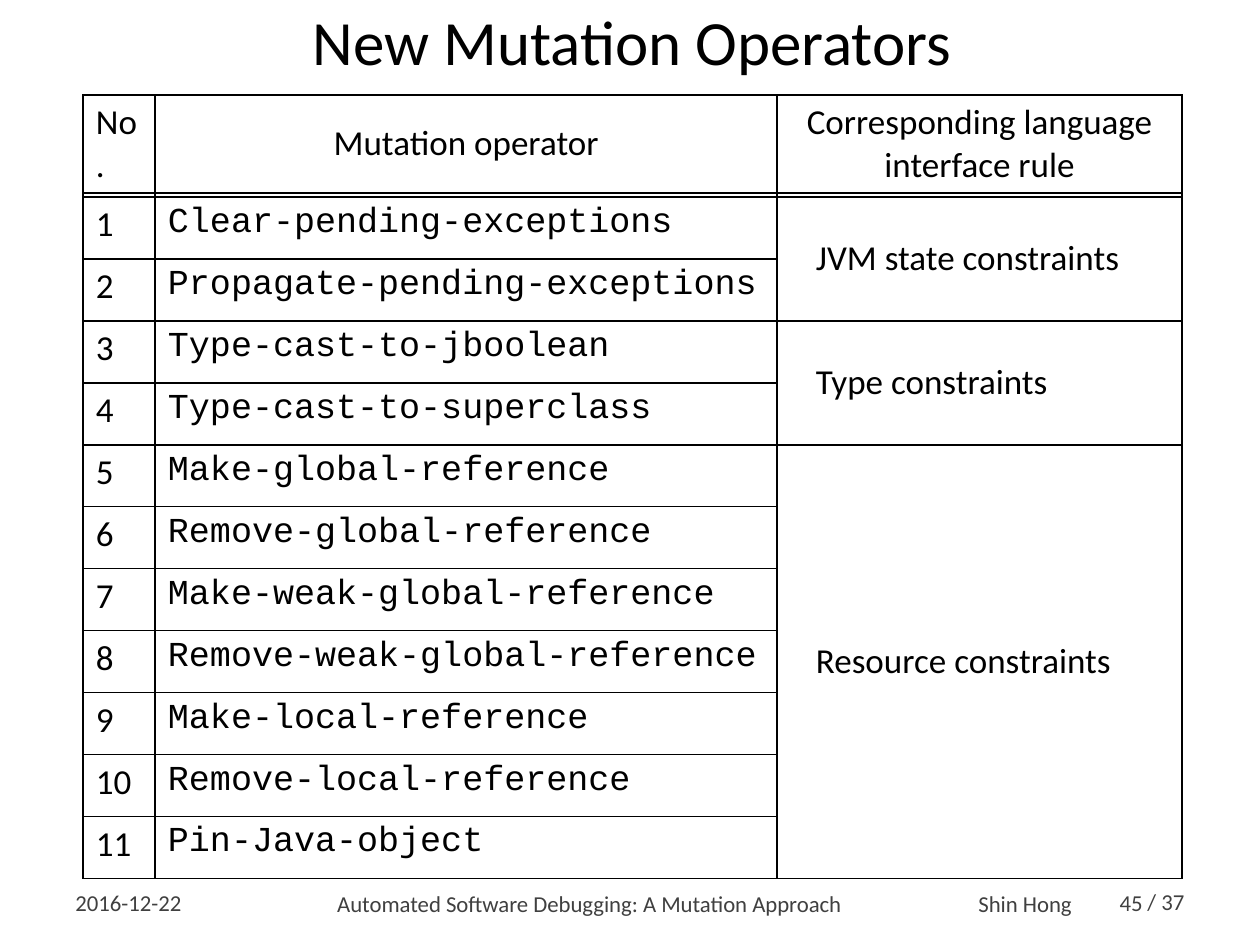
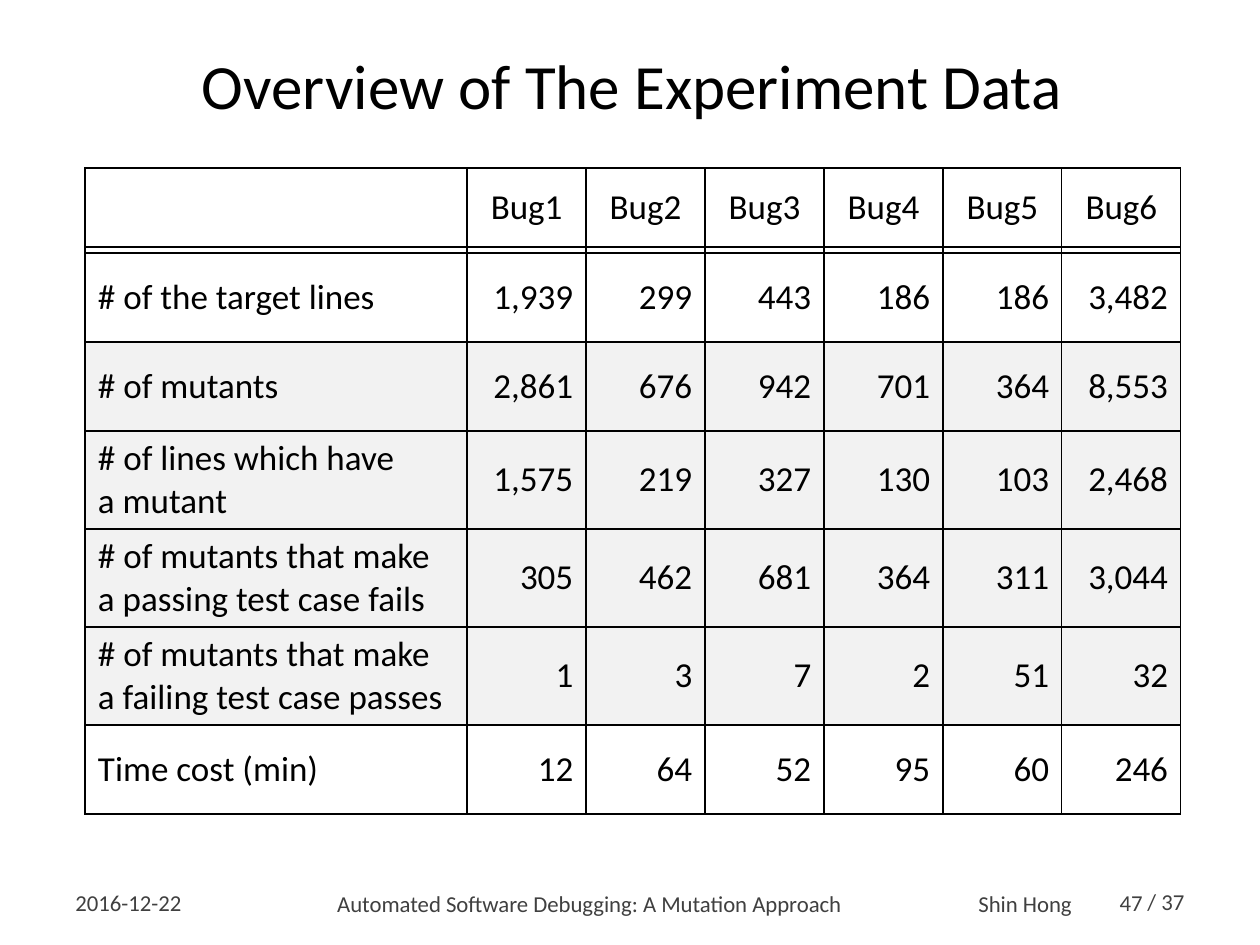
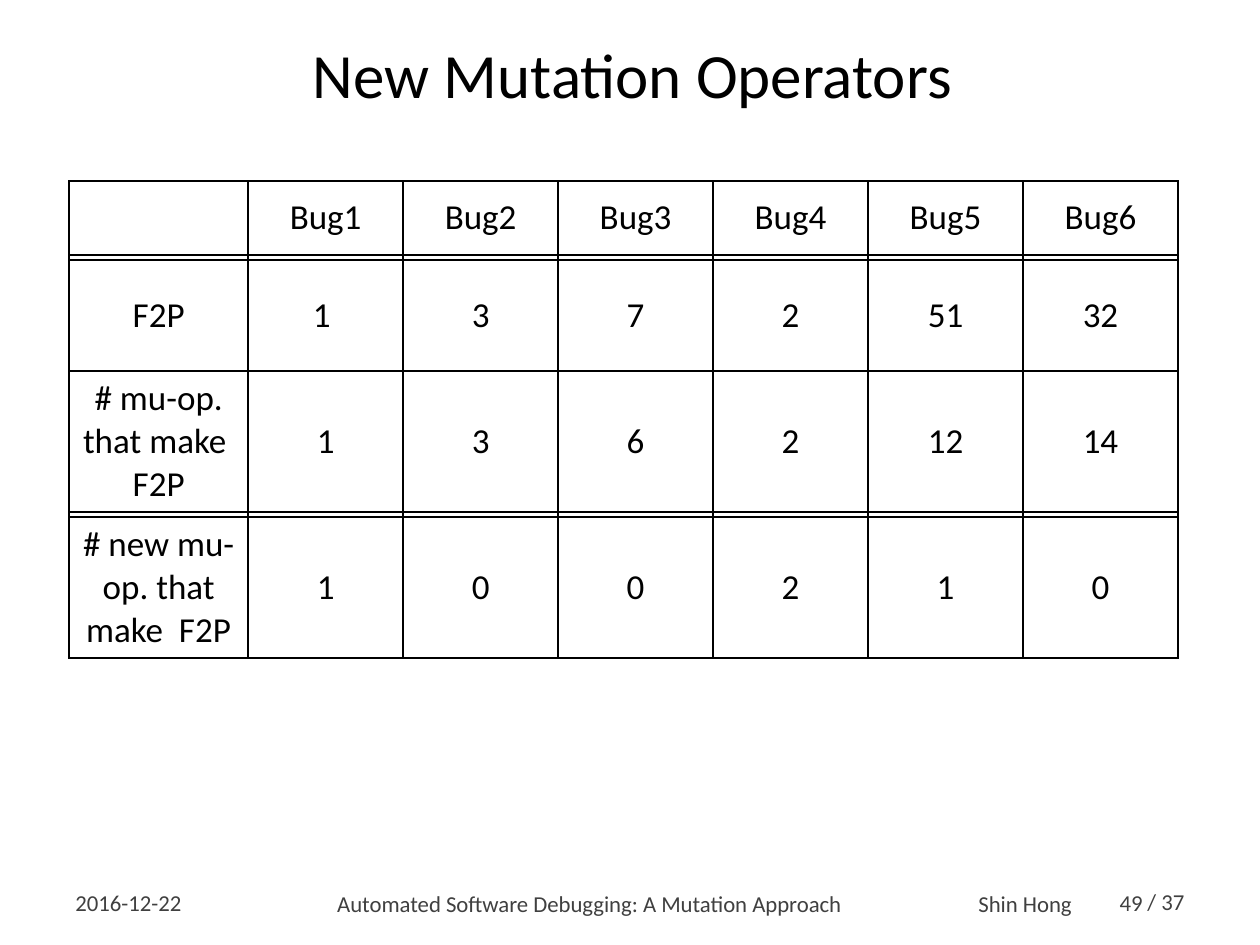
from lxml import etree
from pptx import Presentation
from pptx import util as u
from pptx.dml.color import RGBColor
from pptx.enum import text
from pptx.oxml.ns import qn

PX = 914400 // 126  # EMU per px
COLORS = {"ink": "000000", "footer": "404040", "band": "F2F2F2"}
BODY, CODE = "Calibri", "Courier New"
LEFT, CENTER, RIGHT = (text.PP_ALIGN.LEFT, text.PP_ALIGN.CENTER,
                       text.PP_ALIGN.RIGHT)
TOP, MIDDLE = text.MSO_ANCHOR.TOP, text.MSO_ANCHOR.MIDDLE
TITLE_ONLY = 5
CELL_INSET = 13
RULE = "rule"  # a thin empty row that draws a double line

BUGS = [f"Bug{n}" for n in range(1, 7)]

OPERATORS = [
    "Clear-pending-exceptions", "Propagate-pending-exceptions",
    "Type-cast-to-jboolean", "Type-cast-to-superclass",
    "Make-global-reference", "Remove-global-reference",
    "Make-weak-global-reference", "Remove-weak-global-reference",
    "Make-local-reference", "Remove-local-reference", "Pin-Java-object",
]
# Interface rule and the number of operators it covers
INTERFACE_RULES = [("JVM state constraints", 2), ("Type constraints", 2),
                   ("Resource constraints", 7)]

EXPERIMENT = [
    ["", *BUGS],
    RULE,
    ["# of the target lines", "1,939", "299", "443", "186", "186", "3,482"],
    ["# of mutants", "2,861", "676", "942", "701", "364", "8,553"],
    ["# of lines which have\na mutant",
     "1,575", "219", "327", "130", "103", "2,468"],
    ["# of mutants that make a passing test case fails",
     "305", "462", "681", "364", "311", "3,044"],
    ["# of mutants that make a failing test case passes",
     "1", "3", "7", "2", "51", "32"],
    ["Time cost (min)", "12", "64", "52", "95", "60", "246"],
]
BANDED_ROWS = range(3, 7)

F2P_COUNTS = [
    ["", *BUGS],
    RULE,
    ["F2P", "1 ", "3", "7", "2", "51", "32"],
    ["# mu-op. that make  F2P", "1", "3", "6", "2", "12", "14"],
    RULE,
    ["# new mu-op. that make  F2P", "1", "0", "0", "2", "1", "0"],
]


def px(*lengths):
    return [n * PX for n in lengths]


def write(tf, words, size, color="ink", font=BODY, align=LEFT, spacing=1.0):
    """Fill the first paragraph of a text frame."""
    p = tf.paragraphs[0]
    p.text = words
    p.alignment = align
    p.line_spacing = spacing
    for r in p.runs:
        for name, value in {"name": font, "size": u.Pt(size)}.items():
            setattr(r.font, name, value)
        r.font.color.rgb = RGBColor.from_string(COLORS[color])


def add_title(s, words, box):
    sp = s.shapes.title
    sp.left, sp.top, sp.width, sp.height = px(*box)
    tf = sp.text_frame
    tf.auto_size = text.MSO_AUTO_SIZE.NONE
    tf.vertical_anchor = MIDDLE
    write(tf, words, 36, align=CENTER, spacing=0.9)


def add_footer(s, number):
    parts = [
        ("2016-12-22", (63, 878, 146, 49), LEFT, 1.0),
        ("Automated Software Debugging: A Mutation Approach",
         (218, 878, 742, 50), CENTER, 1.0),
        ("Shin Hong", (966, 890, 126, 33), LEFT, 0.7),
        (str(number), (1092, 878, 63, 49), RIGHT, 1.0),
        ("/ 37", (1135, 881, 83, 40), LEFT, 1.0),
    ]
    for words, box, align, spacing in parts:
        tf = s.shapes.add_textbox(*px(*box)).text_frame
        tf.word_wrap = True
        tf.vertical_anchor = MIDDLE
        write(tf, words, 13, "footer", align=align, spacing=spacing)


def add_slide(prs, title, title_box, number):
    s = prs.slides.add_slide(prs.slide_layouts[TITLE_ONLY])
    add_title(s, title, title_box)
    add_footer(s, number)
    return s


def add_borders(cell):
    tc_pr = cell._tc.get_or_add_tcPr()
    for i, side in enumerate(("a:lnL", "a:lnR", "a:lnT", "a:lnB")):
        ln = etree.Element(qn(side), w=str(u.Pt(1)))
        fill = etree.SubElement(ln, qn("a:solidFill"))
        etree.SubElement(fill, qn("a:srgbClr"), val=COLORS["ink"])
        tc_pr.insert(i, ln)


def add_grid(s, left, top, widths, heights):
    """Add a plain table with black cell borders."""
    box = px(left, top, sum(widths), sum(heights))
    table = s.shapes.add_table(len(heights), len(widths), *box).table
    table.first_row = table.horz_banding = False
    for column, width in zip(table.columns, widths):
        column.width = width * PX
    for row, height in zip(table.rows, heights):
        row.height = height * PX
    for cell in table.iter_cells():
        cell.fill.background()
        add_borders(cell)
    return table


def fill_cell(cell, words, font=BODY, align=LEFT, anchor=MIDDLE,
              inset=CELL_INSET):
    cell.vertical_anchor = anchor
    cell.margin_left = inset * PX
    if words:
        write(cell.text_frame, words, 20, font=font, align=align)


def make_rule(row):
    """Shrink a row's empty cells so that it shows as a double line."""
    for cell in row.cells:
        cell.margin_top = cell.margin_bottom = 0
        p = cell.text_frame.paragraphs[0]
        p._p.get_or_add_endParaRPr().set("sz", "100")


def add_bug_table(s, left, top, widths, heights, rows, label_align,
                  value_align, banded=()):
    table = add_grid(s, left, top, widths, heights)
    for i, values in enumerate(rows):
        if values == RULE:
            make_rule(table.rows[i])
            continue
        for j, words in enumerate(values):
            cell = table.cell(i, j)
            align = CENTER if i == 0 else value_align if j else label_align
            fill_cell(cell, words, align=align)
            if i in banded:
                cell.fill.solid()
                cell.fill.fore_color.rgb = RGBColor.from_string(COLORS["band"])


def add_operator_table(s):
    heights = [98, 4] + [62] * len(OPERATORS)
    table = add_grid(s, 83, 95, [72, 622, 405], heights)
    # Header
    fill_cell(table.cell(0, 0), "No.")
    fill_cell(table.cell(0, 1), "Mutation operator", align=CENTER)
    fill_cell(table.cell(0, 2), "Corresponding language interface rule",
              align=CENTER)
    make_rule(table.rows[1])
    # Numbered operators
    for n, operator in enumerate(OPERATORS, 1):
        fill_cell(table.cell(n + 1, 0), str(n), anchor=TOP)
        fill_cell(table.cell(n + 1, 1), operator, font=CODE, anchor=TOP)
    # Interface rules, each spanning its operators
    first = 2
    for rule, count in INTERFACE_RULES:
        cell = table.cell(first, 2)
        cell.merge(table.cell(first + count - 1, 2))
        fill_cell(cell, rule, inset=39)
        first += count


def main():
    prs = Presentation()
    prs.slide_width, prs.slide_height = u.Inches(10), u.Inches(7.5)

    s = add_slide(prs, "New Mutation Operators", (77, -5, 1110, 101), 45)
    add_operator_table(s)

    s = add_slide(prs, "Overview of The Experiment Data",
                  (77, 39, 1110, 101), 47)
    add_bug_table(s, 85, 168, [382] + [119] * 6,
                  [79, 6, 89, 89, 98, 98, 98, 89], EXPERIMENT,
                  LEFT, RIGHT, BANDED_ROWS)

    s = add_slide(prs, "New Mutation Operators", (68, 23, 1129, 110), 49)
    add_bug_table(s, 69, 181, [179] + [155] * 6,
                  [74, 5, 111, 141, 5, 141], F2P_COUNTS, CENTER, CENTER)

    prs.save("out.pptx")


if __name__ == "__main__":
    main()
